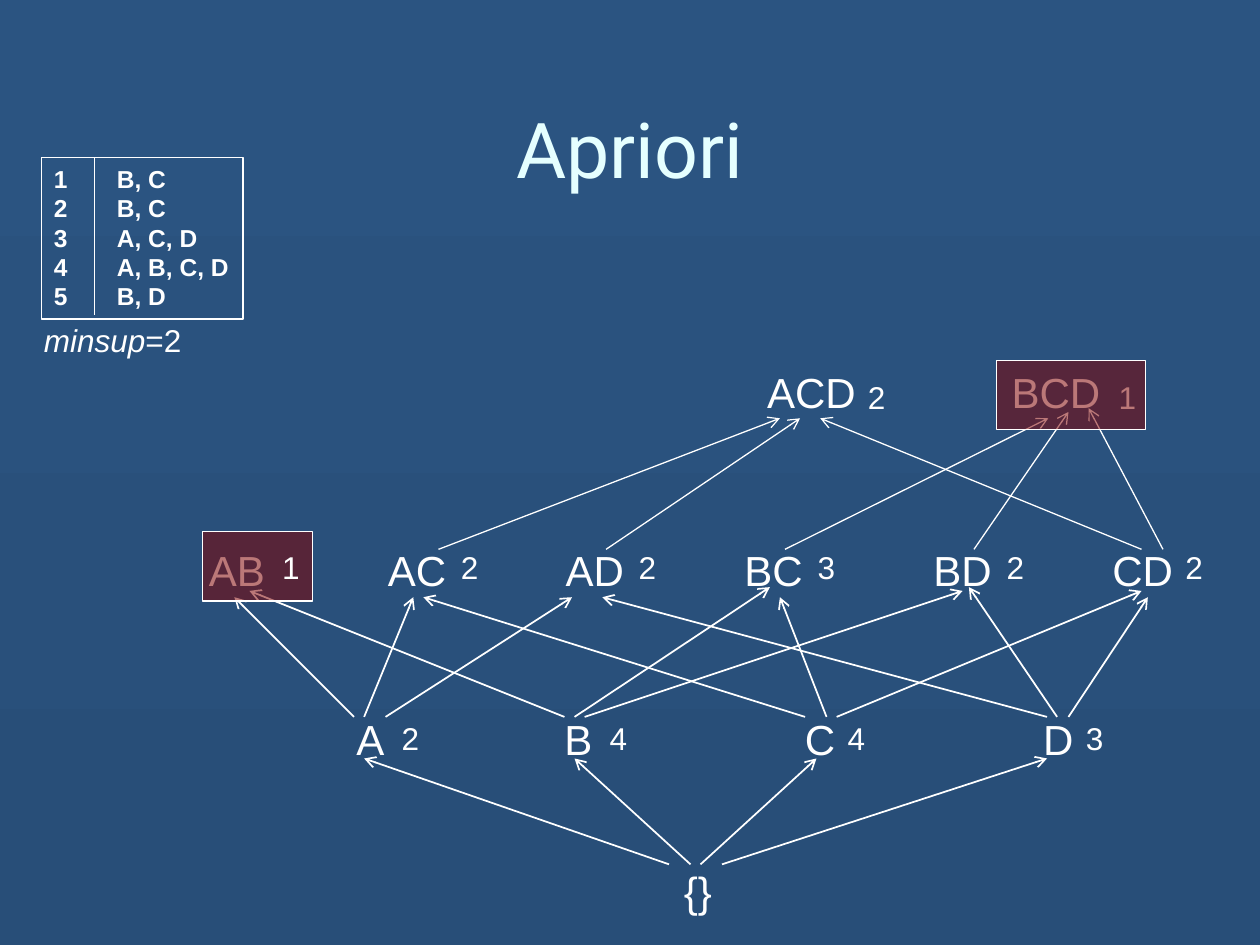
from dataclasses import dataclass

from lxml.etree import SubElement
from pptx import Presentation
from pptx.dml.color import RGBColor
from pptx.enum.shapes import MSO_CONNECTOR, MSO_SHAPE
from pptx.enum.text import MSO_ANCHOR, MSO_AUTO_SIZE, PP_ALIGN
from pptx.oxml.ns import qn
from pptx.shapes.autoshape import Shape
from pptx.slide import Slide
from pptx.text.text import Font
from pptx.util import Inches, Pt

COLORS = {
    "top": "2B5481",
    "bottom": "284E78",
    "title": "E5FFFF",
    "white": "FFFFFF",
    "pruned": "800000",
}
LABEL_TOPS = {0: 6.82, 1: 5.61, 2: 4.27, 3: 2.86}
COUNT_TOPS = {1: 5.66, 2: 4.3, 3: 2.95}
TRANSACTIONS = ["B, C", "B, C", "A, C, D", "A, B, C, D", "B, D"]


@dataclass
class Itemset:
    """An itemset of the lattice, with its support count."""

    items: str
    left: float
    width: float
    count: str = ""
    count_left: float = 0

    @property
    def level(self) -> int:
        return 0 if self.items == "{}" else len(self.items)


@dataclass
class EdgeLevel:
    """Edges between two levels, as (tip x, tip y, tail x)."""

    tail_y: float
    weight: float
    edges: list[tuple[float, float, float]]


@dataclass
class PrunedBox:
    """A translucent cover over an infrequent itemset."""

    left: float
    top: float
    width: float


ITEMSETS = [
    Itemset("ACD", 5.99, 0.99, "2", 6.79),
    Itemset("BCD", 7.93, 1.04, "1", 8.78),
    Itemset("AB", 1.56, 0.67, "1", 2.14),
    Itemset("AC", 2.98, 0.67, "2", 3.56),
    Itemset("AD", 4.39, 0.92, "2", 4.97),
    Itemset("BC", 5.81, 0.67, "3", 6.39),
    Itemset("BD", 7.31, 0.67, "2", 7.89),
    Itemset("CD", 8.73, 1, "2", 9.31),
    Itemset("A", 2.73, 1.08, "2", 3.09),
    Itemset("B", 4.38, 1.08, "4", 4.74),
    Itemset("C", 6.29, 1.08, "4", 6.63),
    Itemset("D", 8.18, 1.08, "3", 8.52),
    Itemset("{}", 5.33, 1.17),
]
EDGE_LEVELS = [
    EdgeLevel(4.36, 0.75, [
        (6.19, 3.32, 3.48), (8.32, 3.32, 6.23), (6.51, 3.32, 9.06),
        (8.64, 3.24, 9.23), (8.48, 3.27, 7.73), (6.35, 3.32, 4.81),
    ]),
    EdgeLevel(5.69, 1, [
        (1.86, 4.74, 2.81), (1.98, 4.69, 4.48), (3.28, 4.74, 2.89),
        (3.36, 4.74, 6.39), (6.11, 4.66, 4.56), (6.19, 4.74, 6.56),
        (4.54, 4.74, 3.06), (4.78, 4.74, 8.31), (7.64, 4.69, 4.64),
        (7.69, 4.66, 8.39), (9.06, 4.69, 6.64), (9.11, 4.74, 8.48),
    ]),
    EdgeLevel(6.86, 1, [
        (2.89, 6.02, 5.31), (4.56, 6.02, 5.48),
        (6.48, 6.02, 5.56), (8.31, 6.02, 5.73),
    ]),
]


def rgb(name: str) -> RGBColor:
    return RGBColor.from_string(COLORS[name])


def style(font: Font, size: float, color: str = "white", face: str = "Arial") -> None:
    font.size, font.name = Pt(size), face
    font.color.rgb = rgb(color)


def add_text(slide: Slide, text: str, left: float, top: float, width: float,
             height: float, size: float, wrap: bool) -> Shape:
    box = slide.shapes.add_textbox(*map(Inches, (left, top, width, height)))
    frame = box.text_frame
    frame.text = text
    frame.word_wrap = wrap
    frame.auto_size = MSO_AUTO_SIZE.SHAPE_TO_FIT_TEXT
    style(frame.paragraphs[0].runs[0].font, size)
    return box


def add_count(slide: Slide, itemset: Itemset) -> None:
    add_text(slide, itemset.count, itemset.count_left, COUNT_TOPS[itemset.level],
             0.34, 0.4, 18, False)


def add_line(slide: Slide, start: tuple[float, float], end: tuple[float, float],
             weight: float, arrow: bool) -> None:
    line = slide.shapes.add_connector(
        MSO_CONNECTOR.STRAIGHT, *map(Inches, (*start, *end)))
    line.line.color.rgb = rgb("white")
    line.line.width = Pt(weight)
    if arrow:
        SubElement(line.line._get_or_add_ln(), qn("a:headEnd"), type="arrow")
    SubElement(line._element.spPr, qn("a:effectLst"))


def add_frame(slide: Slide, left: float, top: float, width: float,
              height: float, weight: float) -> Shape:
    frame = slide.shapes.add_shape(
        MSO_SHAPE.RECTANGLE, *map(Inches, (left, top, width, height)))
    frame.shadow.inherit = False
    frame.fill.background()
    frame.line.color.rgb = rgb("white")
    frame.line.width = Pt(weight)
    return frame


def add_pruned(slide: Slide, box: PrunedBox) -> None:
    cover = add_frame(slide, box.left, box.top, box.width, 0.55, 0.75)
    cover.fill.solid()
    cover.fill.fore_color.rgb = rgb("pruned")
    tint = cover._element.spPr.find(qn("a:solidFill"))[0]
    SubElement(tint, qn("a:alpha"), val="53000")


def add_transactions(slide: Slide) -> None:
    database = add_frame(slide, 0.33, 1.25, 1.6, 1.28, 1)
    frame = database.text_frame
    frame.text = "\n".join(TRANSACTIONS)
    frame.vertical_anchor = MSO_ANCHOR.TOP
    frame.auto_size = MSO_AUTO_SIZE.SHAPE_TO_FIT_TEXT
    for transaction in frame.paragraphs:
        transaction.alignment = PP_ALIGN.LEFT
        properties = transaction._p.get_or_add_pPr()
        properties.set("marL", str(Inches(0.5)))
        properties.set("indent", str(Inches(-0.5)))
        SubElement(properties, qn("a:buAutoNum"), type="arabicPlain")
        font = transaction.runs[0].font
        style(font, 14)
        font.bold = True
    add_line(slide, (0.75, 1.25), (0.75, 2.5), 1, False)


def add_title(slide: Slide) -> None:
    title = slide.shapes.title
    title.left, title.top, title.width, title.height = map(
        Inches, (0.5, 0.42, 9, 1.5))
    title.text_frame.text = "Apriori"
    title.text_frame.vertical_anchor = MSO_ANCHOR.MIDDLE
    heading = title.text_frame.paragraphs[0]
    heading.alignment = PP_ALIGN.CENTER
    style(heading.runs[0].font, 44, "title", "Roboto")


def main() -> None:
    """Build the slide on the Apriori itemset lattice."""
    deck = Presentation()
    deck.slide_width, deck.slide_height = Inches(10), Inches(7.5)
    slide = deck.slides.add_slide(deck.slide_layouts[5])
    backdrop = slide.background.fill
    backdrop.gradient()
    backdrop.gradient_angle = 270
    for stop, name in zip(backdrop.gradient_stops, ("top", "bottom")):
        stop.color.rgb = rgb(name)
    add_title(slide)

    for itemset in ITEMSETS:
        add_text(slide, itemset.items, itemset.left, LABEL_TOPS[itemset.level],
                 itemset.width, 0.5, 24, True)
    for level in EDGE_LEVELS:
        for tip_x, tip_y, tail_x in level.edges:
            add_line(slide, (tip_x, tip_y), (tail_x, level.tail_y), level.weight, True)
    add_pruned(slide, PrunedBox(1.61, 4.22, 0.87))
    for itemset in ITEMSETS:
        if itemset.count:
            add_count(slide, itemset)
    add_pruned(slide, PrunedBox(7.91, 2.86, 1.18))

    minsup = add_text(slide, "minsup", 0.25, 2.5, 1.29, 0.4, 18, False)
    threshold = minsup.text_frame.paragraphs[0]
    threshold.runs[0].font.italic = True
    value = threshold.add_run()
    value.text = "=2"
    style(value.font, 18)
    add_transactions(slide)
    deck.save("out.pptx")


if __name__ == "__main__":
    main()
